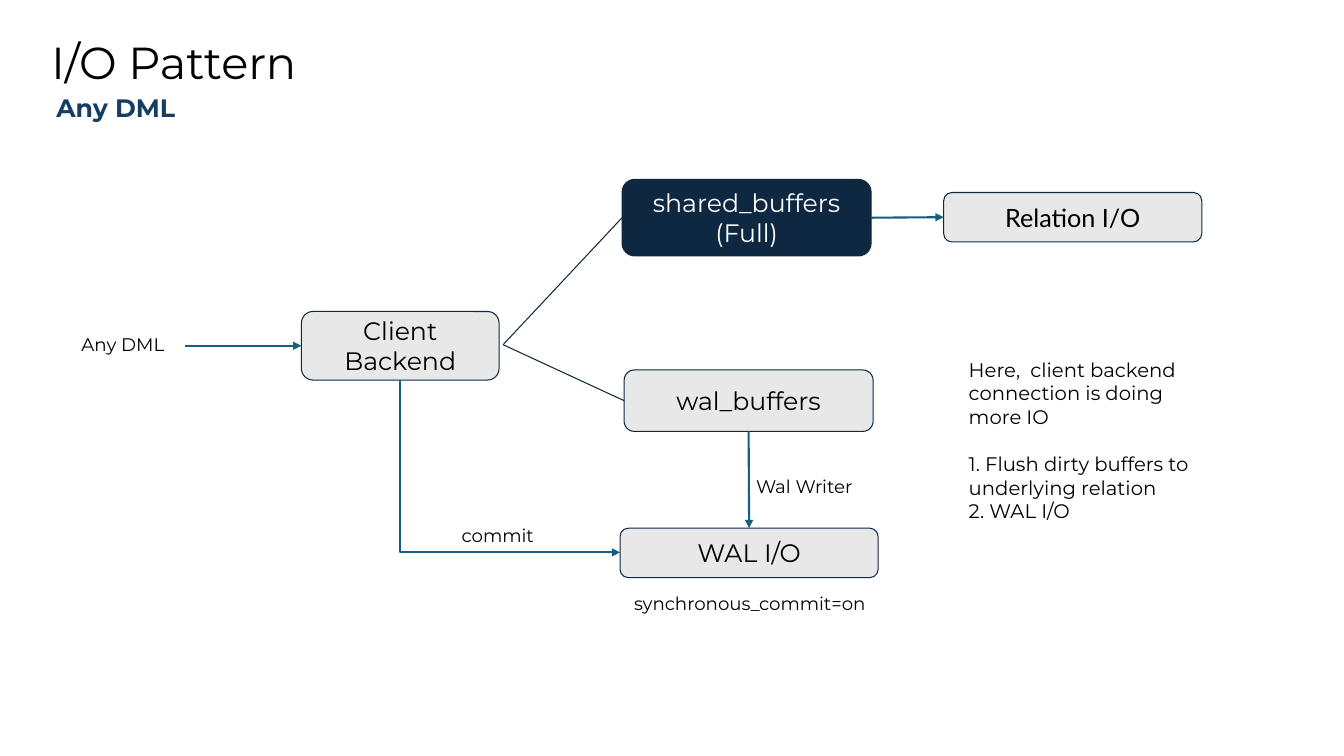
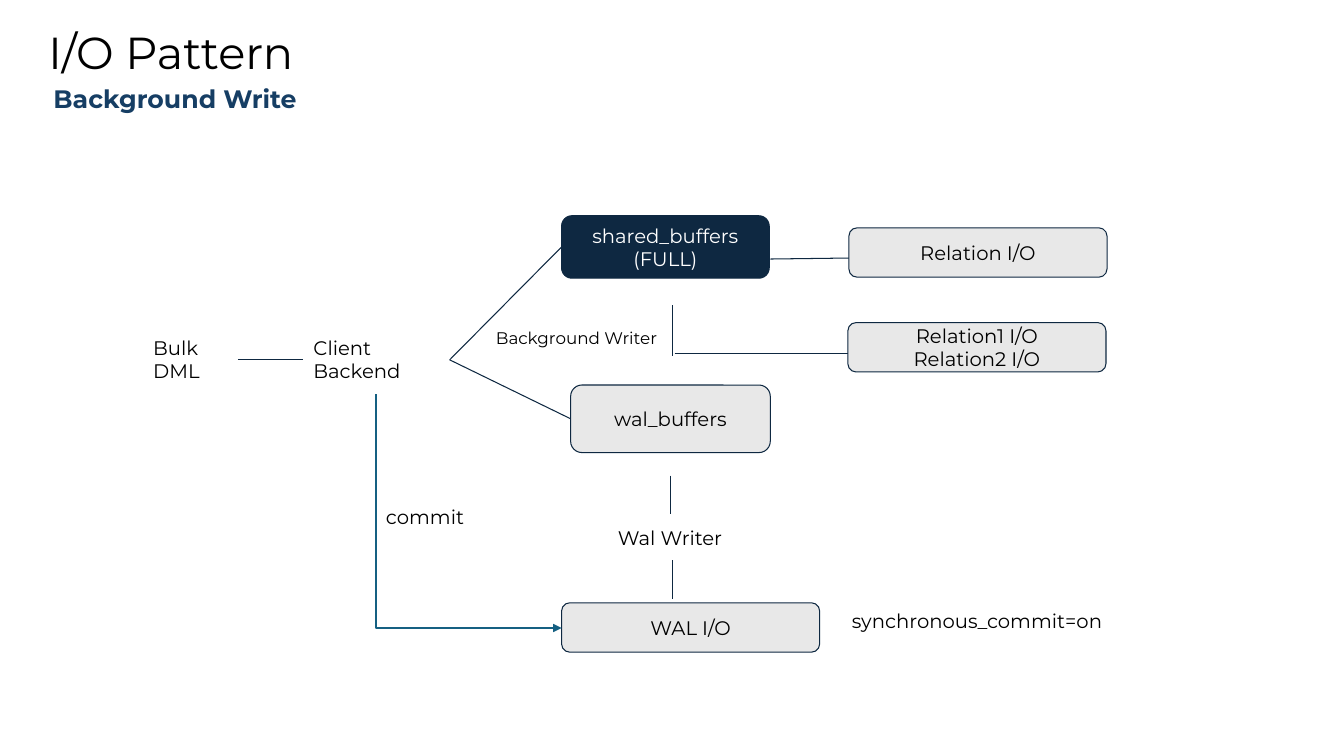
from lxml.etree import SubElement
from pptx import Presentation
from pptx.dml.color import RGBColor
from pptx.enum.shapes import MSO_CONNECTOR as Link, MSO_SHAPE as Form
from pptx.enum.text import MSO_ANCHOR as Anchor, MSO_AUTO_SIZE as Fit, PP_ALIGN as Align
from pptx.oxml.ns import qn
from pptx.util import Inches, Pt

BLACK = RGBColor(0x00, 0x00, 0x00)
WHITE = RGBColor(0xFF, 0xFF, 0xFF)
NAVY = RGBColor(0x0E, 0x28, 0x41)
BLUE = RGBColor(0x16, 0x3E, 0x64)
TEAL = RGBColor(0x15, 0x60, 0x82)
GRAY = RGBColor(0xE8, 0xE8, 0xE8)
TOP, LEFT, BOTTOM, RIGHT = range(4)


def write(frame, text, size=14, font="Montserrat", color=BLACK, bold=False,
          align=Align.LEFT, anchor=Anchor.TOP, inset=0.1, pitch=None):
    """Fill a text frame and format all of its paragraphs."""
    frame.text = text
    frame.word_wrap = True
    frame.auto_size = Fit.NONE
    frame.vertical_anchor = anchor
    frame.margin_left = frame.margin_right = Inches(inset)
    frame.margin_top = frame.margin_bottom = Inches(inset)
    for para in frame.paragraphs:
        para.alignment = align
        para.line_spacing = pitch
        para.font.name = font
        para.font.size = Pt(size)
        para.font.bold = bold
        para.font.color.rgb = color


class Deck:
    """Hold the shared style and the current slide."""

    def __init__(self):
        """Start a wide deck."""
        self.show = Presentation()
        self.show.slide_width = Inches(13.33)
        self.show.slide_height = Inches(7.5)
        self.slide = None

    def page(self, title, sub, x, y):
        """Add a slide with its title and the subtitle below."""
        self.slide = self.show.slides.add_slide(self.show.slide_layouts[5])
        head = self.slide.shapes.title
        head.left, head.top = Inches(x), Inches(y)
        head.width, head.height = Inches(4.19), Inches(0.72)
        write(head.text_frame, title, size=32, pitch=0.9)
        self.label(sub, x + 0.15, y + 0.65, 3.19, 0.27, size=18,
                   color=BLUE, bold=True, inset=0, pitch=0.9)

    def label(self, text, x, y, w, h=0.42, **style):
        """Add plain text and return its frame."""
        area = self.slide.shapes.add_textbox(Inches(x), Inches(y), Inches(w), Inches(h))
        write(area.text_frame, text, **style)
        return area.text_frame

    def box(self, text, x, y, w, h, fill=GRAY, form=Form.ROUNDED_RECTANGLE, **style):
        """Add a rounded node with centred text."""
        node = self.slide.shapes.add_shape(form, Inches(x), Inches(y), Inches(w), Inches(h))
        node.shadow.inherit = False
        node.fill.solid()
        node.fill.fore_color.rgb = fill
        node.line.color.rgb = NAVY
        node.line.width = Pt(0.75)
        write(node.text_frame, text, color=WHITE if fill == NAVY else BLACK,
              align=Align.CENTER, anchor=Anchor.MIDDLE, **style)
        return node

    def store(self, text, x, y, **style):
        """Add a node of the I/O kind, all of one size."""
        return self.box(text, x, y, 2.56, 0.49,
                        form=Form.FLOWCHART_ALTERNATE_PROCESS, **style)

    def line(self, start, end, arrow=False, kind=Link.STRAIGHT):
        """Join two ends, each a point or a node with its side."""
        spots = [p if isinstance(p[0], (int, float)) else (0, 0) for p in (start, end)]
        link = self.slide.shapes.add_connector(
            kind, *[Inches(v) for spot in spots for v in spot])
        if spots[0] != start:
            link.begin_connect(*start)
        if spots[1] != end:
            link.end_connect(*end)
        link.line.color.rgb = TEAL if arrow else NAVY
        link.line.width = Pt(1.5 if arrow else 0.75)
        if arrow:
            SubElement(link.get_or_add_ln(), qn("a:tailEnd"), type="triangle")
        SubElement(link.element.spPr, qn("a:effectLst"))
        return link

    def bend(self, start, end):
        """Add an arrow that runs down and then right."""
        link = self.line(start, end, arrow=True, kind=Link.ELBOW)
        (x1, y1), (x2, y2) = start, end
        wide, tall = x2 - x1, y2 - y1
        link.left = Inches((x1 + x2 - tall) / 2)
        link.top = Inches((y1 + y2 - wide) / 2)
        link.width, link.height = Inches(tall), Inches(wide)
        props = link.element.spPr
        props.find(qn("a:prstGeom")).set("prst", "bentConnector2")
        frame = props.find(qn("a:xfrm"))
        frame.set("rot", str(270 * 60000))
        frame.set("flipH", "1")


def any_dml(deck):
    """Draw the pattern for any DML."""
    deck.page("I/O Pattern", "Any DML", 0.41, 0.3)
    shared = deck.box("shared_buffers\n(Full)", 6.17, 1.78, 2.47, 0.76, fill=NAVY, size=18)
    wal = deck.box("wal_buffers", 6.19, 3.67, 2.47, 0.61, size=18)
    client = deck.box("Client Backend", 2.99, 3.09, 1.96, 0.68, size=18)
    log = deck.store("WAL I/O", 6.15, 5.24, size=18)
    table = deck.store("Relation I/O", 9.36, 1.91, size=18, font="Lato")
    for node in (shared, wal):
        deck.line((4.99, 3.42), (node, LEFT))
    deck.line((wal, BOTTOM), (log, TOP), arrow=True)
    deck.line((1.84, 3.43), (client, LEFT), arrow=True)
    deck.line((shared, RIGHT), (table, LEFT), arrow=True)
    deck.bend((3.97, 3.77), (6.15, 5.48))
    for text, x, y, w in (
        ("Any DML", 0.71, 3.21, 1.3),
        ("synchronous_commit=on", 6.19, 5.78, 2.69),
        ("commit", 4.48, 5.1, 1.3),
        ("Wal Writer", 7.4, 4.62, 1.45),
    ):
        deck.label(text, x, y, w, size=13)
    note = deck.label(
        "Here,  client backend connection is doing more IO\n"
        "1. Flush dirty buffers to underlying relation\n"
        "2. WAL I/O", 9.51, 3.45, 2.57, 1.85)
    note.paragraphs[1].space_before = Pt(17)


def background(deck):
    """Draw the pattern for the background write."""
    deck.page("I/O Pattern", "Background Write", 0.38, 0.21)
    shared = deck.box("shared_buffers\n(FULL)", 5.57, 2.14, 2.06, 0.62, fill=NAVY)
    wal = deck.box("wal_buffers", 5.66, 3.82, 1.98, 0.67)
    for node in (shared, wal):
        deck.line((4.46, 3.57), (node, LEFT))
    for start, end in (
        ((2.36, 3.57), (3.01, 3.57)),
        ((7.64, 2.57), (8.42, 2.56)),
        ((6.67, 3.03), (6.67, 3.53)),
        ((6.69, 3.51), (8.47, 3.51)),
        ((6.65, 4.72), (6.65, 5.1)),
        ((6.67, 5.56), (6.67, 5.94)),
    ):
        deck.line(start, end)
    deck.store("WAL I/O", 5.57, 5.98)
    deck.store("Relation I/O", 8.42, 2.26)
    deck.store("Relation1 I/O\nRelation2 I/O", 8.41, 3.2)
    deck.bend((3.73, 3.91), (5.57, 6.23))
    for text, x, y, w, h in (
        ("Bulk DML", 1.42, 3.23, 1.13, 0.67),
        ("Client Backend", 3.01, 3.23, 1.45, 0.67),
        ("synchronous_commit=on", 8.35, 5.94, 3.11, 0.44),
        ("commit", 3.73, 4.91, 1.2, 0.44),
        ("Wal Writer", 6.03, 5.12, 1.45, 0.44),
    ):
        deck.label(text, x, y, w, h)
    deck.label("Background Writer", 4.82, 3.15, 1.83, 0.4, size=12)


def main():
    """Build and save both slides."""
    deck = Deck()
    any_dml(deck)
    background(deck)
    deck.show.save("out.pptx")


if __name__ == "__main__":
    main()
